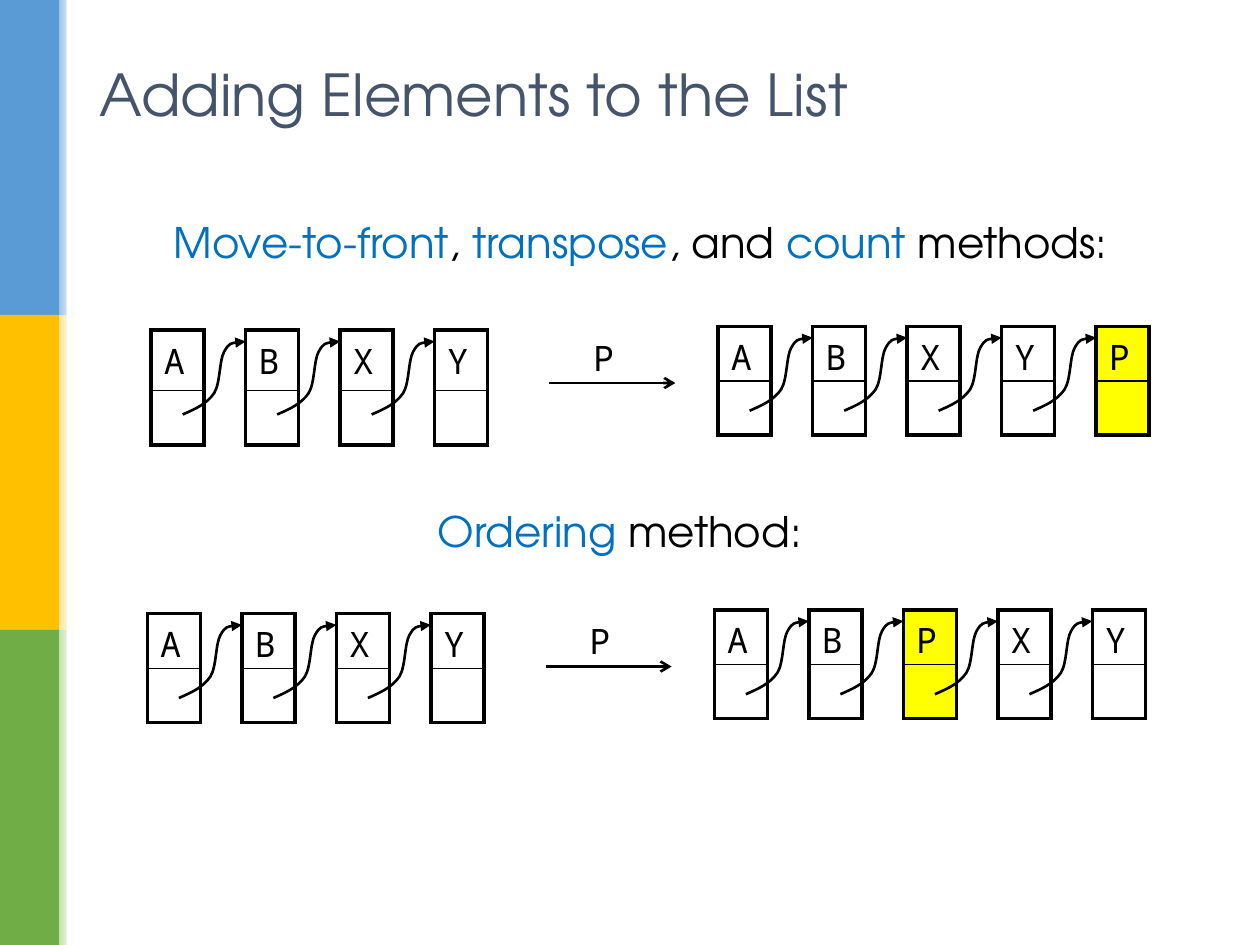
import lxml.etree
import pptx
import pptx.dml.color
import pptx.enum.shapes
import pptx.enum.text
import pptx.oxml.ns
import pptx.util

Inches, Pt = pptx.util.Inches, pptx.util.Pt
RGBColor = pptx.dml.color.RGBColor
PP_ALIGN, ANCHOR = pptx.enum.text.PP_ALIGN, pptx.enum.text.MSO_ANCHOR
qn = pptx.oxml.ns.qn
SubElement = lxml.etree.SubElement

BLACK = RGBColor(0x00, 0x00, 0x00)
WHITE = RGBColor(0xFF, 0xFF, 0xFF)
SLATE = RGBColor(0x44, 0x54, 0x6A)
TERM_BLUE = RGBColor(0x00, 0x70, 0xC0)
YELLOW = RGBColor(0xFF, 0xFF, 0x00)
# Side bands, top to bottom: full colour and its pale edge
BANDS = [
    (RGBColor(0x5B, 0x9B, 0xD5), RGBColor(0x9D, 0xC3, 0xE6)),
    (RGBColor(0xFF, 0xC0, 0x00), RGBColor(0xFF, 0xE6, 0x99)),
    (RGBColor(0x70, 0xAD, 0x47), RGBColor(0xC5, 0xE0, 0xB4)),
]

HEADING_FONT = "TeX Gyre Adventor"
NODE_FONT = "Noto Sans Mono"

NODE_WIDTH, NODE_PITCH, ROW_HEIGHT = 0.42, 0.75, 0.43
# Link curve in hundredths of an inch: start, then control, control, end
LINK_START = (0, 58)
LINK_CURVES = [
    ((9, 54), (19, 50), (25, 41)),
    ((30, 33), (29, 15), (33, 8)),
    ((37, 1), (43, 0), (50, 0)),
]


def write_text(frame, runs, size=20, font=NODE_FONT, align=PP_ALIGN.LEFT,
               anchor=ANCHOR.TOP, line_spacing=None):
    """Fill a frame with one paragraph of (text, colour) runs."""
    frame.word_wrap = True
    frame.vertical_anchor = anchor
    paragraph = frame.paragraphs[0]
    properties = paragraph._p.get_or_add_pPr()
    properties.set("marL", "0")
    properties.set("indent", "0")
    SubElement(properties, qn("a:buNone"))
    paragraph.alignment = align
    paragraph.space_before = Pt(0)
    if line_spacing:
        paragraph.line_spacing = line_spacing
    for text, colour in runs:
        run = paragraph.add_run()
        run.text = text
        run.font.size, run.font.name = Pt(size), font
        run.font.color.rgb = colour


def place(shape, left, top, width, height):
    shape.left, shape.top = Inches(left), Inches(top)
    shape.width, shape.height = Inches(width), Inches(height)


def add_bar(slide, left, top, width, height, colour, fade_to=None):
    bar = slide.shapes.add_shape(
        pptx.enum.shapes.MSO_SHAPE.RECTANGLE,
        Inches(left), Inches(top), Inches(width), Inches(height))
    bar.shadow.inherit = False
    bar.line.fill.background()
    if fade_to is None:
        bar.fill.solid()
        bar.fill.fore_color.rgb = colour
    else:
        bar.fill.gradient()
        bar.fill.gradient_angle = 0
        for stop, stop_colour in zip(bar.fill.gradient_stops, (colour, fade_to)):
            stop.color.rgb = stop_colour


def add_side_bands(slide):
    height = 7.5 / len(BANDS)
    for i, (colour, pale) in enumerate(BANDS):
        add_bar(slide, 0, i * height, 0.47, height, colour)
        add_bar(slide, 0.47, i * height, 0.12, height, pale, fade_to=WHITE)
    add_bar(slide, 0.53, 0, 0.04, 7.5, WHITE)


def add_textbox(slide, left, top, width, height, runs, **text_format):
    box = slide.shapes.add_textbox(
        Inches(left), Inches(top), Inches(width), Inches(height))
    write_text(box.text_frame, runs, **text_format)


def style_line(shape, head):
    """Black line with an arrowhead at its end and no shadow."""
    shape.line.color.rgb = BLACK
    shape.line.width = Pt(1.5)
    SubElement(shape.line._get_or_add_ln(), qn("a:tailEnd"), type=head)


def set_borders(cell, **widths):
    properties = cell._tc.get_or_add_tcPr()
    for side in ("L", "R", "T", "B"):
        border = SubElement(properties, qn("a:ln" + side),
                            w=str(Pt(widths.get(side, 2.25))))
        fill = SubElement(border, qn("a:solidFill"))
        SubElement(fill, qn("a:srgbClr"), val=str(BLACK))


def add_node(slide, left, top, label, value_height, highlighted):
    """List node: a value cell above an empty pointer cell."""
    node = slide.shapes.add_table(
        2, 1, Inches(left), Inches(top), Inches(NODE_WIDTH),
        Inches(value_height + ROW_HEIGHT)).table
    node.first_row = node.horz_banding = False
    node.rows[0].height = Inches(value_height)
    node.rows[1].height = Inches(ROW_HEIGHT)
    value, pointer = node.cell(0, 0), node.cell(1, 0)
    set_borders(value, B=1)
    set_borders(pointer, T=1)
    for cell in (value, pointer):
        if highlighted:
            cell.fill.solid()
            cell.fill.fore_color.rgb = YELLOW
        else:
            cell.fill.background()
    write_text(value.text_frame, [(label, BLACK)])


def add_link(slide, left, top):
    """Curved arrow from a pointer cell to the next node."""
    builder = slide.shapes.build_freeform(*LINK_START, scale=Inches(0.01))
    builder.add_line_segments([curve[-1] for curve in LINK_CURVES], close=False)
    link = builder.convert_to_shape(Inches(left), Inches(top))
    segments = list(link._element.iter(qn("a:lnTo")))
    for segment, (first, second, _) in zip(segments, LINK_CURVES):
        segment.tag = qn("a:cubicBezTo")
        for i, (x, y) in enumerate((first, second)):
            control = SubElement(segment, qn("a:pt"), x=str(x), y=str(y))
            segment.insert(i, control)
    link.shadow.inherit = False
    link.fill.background()
    style_line(link, "triangle")


def add_list(slide, left, top, labels, value_height=ROW_HEIGHT):
    lefts = [left + i * NODE_PITCH for i in range(len(labels))]
    for node_left, label in zip(lefts, labels):
        add_node(slide, node_left, top, label, value_height, label == "P")
    for node_left in lefts[:-1]:
        add_link(slide, node_left + 0.25, top + 0.09)


def add_insertion(slide, left, top, result, value_height=ROW_HEIGHT):
    """List before, arrow for the access to P, list after."""
    add_list(slide, left, top, "ABXY", value_height)
    arrow = slide.shapes.add_connector(
        pptx.enum.shapes.MSO_CONNECTOR.STRAIGHT,
        Inches(left + 3.16), Inches(top + 0.42),
        Inches(left + 4.16), Inches(top + 0.42))
    style_line(arrow, "arrow")
    SubElement(arrow._element.spPr, qn("a:effectLst"))
    add_textbox(slide, left + 3.41, top, 0.5, 0.43, [("P", BLACK)])
    add_list(slide, left + 4.5, top - 0.03, result)


def main():
    deck = pptx.Presentation()
    deck.slide_width, deck.slide_height = Inches(10), Inches(7.5)
    slide = deck.slides.add_slide(deck.slide_layouts[1])
    add_side_bands(slide)

    # Title and first heading
    title, methods = slide.placeholders
    place(title, 0.69, 0.4, 8.62, 0.69)
    write_text(title.text_frame, [("Adding Elements to the List", SLATE)],
               size=33, font=HEADING_FONT, anchor=ANCHOR.MIDDLE)
    place(methods, 0.92, 1.71, 8.33, 0.75)
    write_text(methods.text_frame,
               [("Move-to-front", TERM_BLUE), (", ", BLACK),
                ("transpose", TERM_BLUE), (", and ", BLACK),
                ("count", TERM_BLUE), (" methods:", BLACK)],
               size=24, font=HEADING_FONT, align=PP_ALIGN.CENTER,
               line_spacing=0.9)
    add_insertion(slide, 1.2, 2.62, "ABXYP", value_height=0.48)

    # Ordering method
    add_textbox(slide, 0.67, 3.96, 8.5, 0.75,
                [("Ordering", TERM_BLUE), (" method:", BLACK)],
                size=24, font=HEADING_FONT, align=PP_ALIGN.CENTER)
    add_insertion(slide, 1.17, 4.87, "ABPXY")

    deck.save("out.pptx")


if __name__ == "__main__":
    main()
